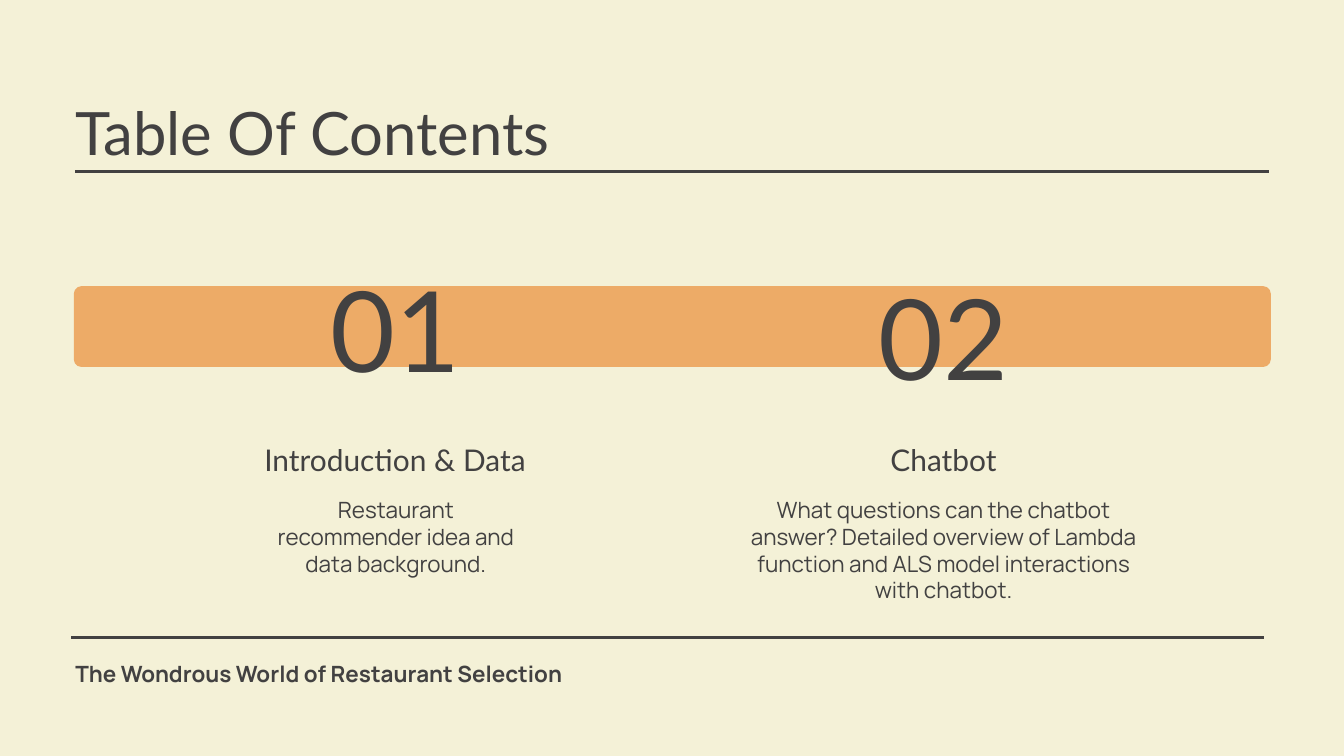
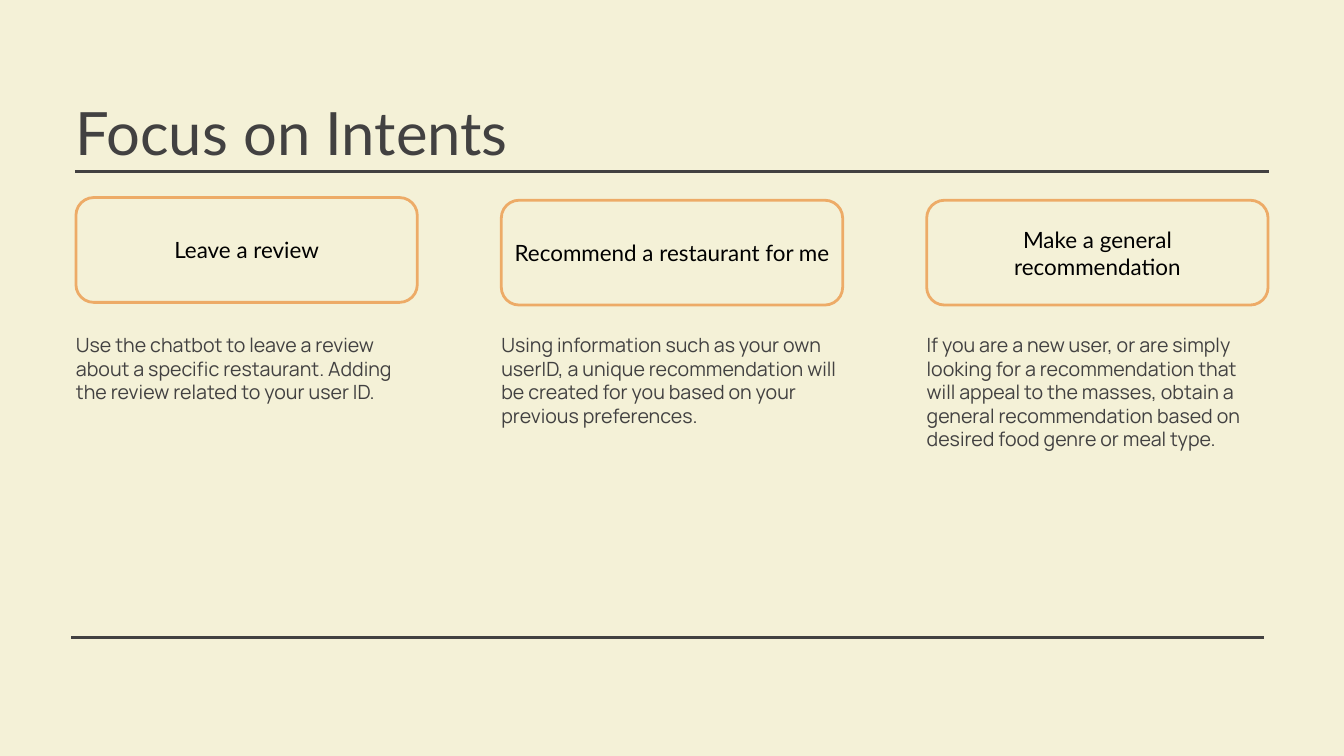
from lxml.etree import SubElement
from pptx import Presentation
from pptx.dml.color import RGBColor
from pptx.enum.shapes import MSO_CONNECTOR, MSO_SHAPE
from pptx.enum.text import MSO_ANCHOR, MSO_AUTO_SIZE, PP_ALIGN
from pptx.oxml.ns import qn
from pptx.util import Inches, Pt

COLORS = {"paper": "F4F1D7", "ink": "424141", "accent": "EDAB67", "black": "000000"}
HEADING, BODY = "Lato", "Manrope"
MARGIN = 1.12
RULE_WIDTH = Pt(3)


def color(name):
    return RGBColor.from_string(COLORS[name])


class Deck:
    """Holds the shared style and the slide being built."""

    def __init__(self):
        self.presentation = Presentation()
        self.presentation.slide_width = Inches(20)
        self.presentation.slide_height = Inches(11.25)
        fill = self.presentation.slide_master.background.fill
        fill.solid()
        fill.fore_color.rgb = color("paper")
        self.slide = None

    def add_slide(self, title):
        layout = self.presentation.slide_layouts.get_by_name("Title Only")
        self.slide = self.presentation.slides.add_slide(layout)
        self.rule(MARGIN, 2.55, 18.88)
        self.rule(1.06, 9.49, 18.81)
        shape = self.slide.shapes.title
        self.place(shape, MARGIN, 1, 14.36, 1.08)
        self.set_text(shape, title, size=64, font=HEADING, spacing=1.4)

    def place(self, shape, left, top, width, height):
        box = {"left": left, "top": top, "width": width, "height": height}
        for name, value in box.items():
            setattr(shape, name, Inches(value))

    def rule(self, left, top, right):
        line = self.slide.shapes.add_connector(
            MSO_CONNECTOR.STRAIGHT, Inches(left), Inches(top), Inches(right), Inches(top))
        line.line.width = RULE_WIDTH
        line.line.color.rgb = color("ink")
        SubElement(line._element.spPr, qn("a:effectLst"))

    def set_text(self, shape, text, size, font, align=PP_ALIGN.LEFT, spacing=1.0,
                 ink="ink", bold=False, inset=0, anchor=MSO_ANCHOR.TOP,
                 fit=MSO_AUTO_SIZE.SHAPE_TO_FIT_TEXT):
        frame = shape.text_frame
        frame.text = text
        frame_format = {"word_wrap": True, "auto_size": fit, "vertical_anchor": anchor}
        for side in ("left", "top", "right", "bottom"):
            frame_format[f"margin_{side}"] = Inches(inset)
        paragraph = frame.paragraphs[0]
        formats = (
            (frame, frame_format),
            (paragraph, {"alignment": align, "line_spacing": spacing}),
            (paragraph.font, {"name": font, "size": Pt(size), "bold": bold}),
        )
        for target, values in formats:
            for name, value in values.items():
                setattr(target, name, value)
        paragraph.font.color.rgb = color(ink)

    def text(self, text, left, top, width, height, **style):
        shape = self.slide.shapes.add_textbox(
            Inches(left), Inches(top), Inches(width), Inches(height))
        self.set_text(shape, text, **style)

    def rounded(self, left, top, width, height, radius, filled):
        shape = self.slide.shapes.add_shape(
            MSO_SHAPE.ROUNDED_RECTANGLE,
            Inches(left), Inches(top), Inches(width), Inches(height))
        shape.adjustments[0] = radius
        shape.shadow.inherit = False
        shape.line.width = RULE_WIDTH
        shape.line.color.rgb = color("accent")
        if filled:
            shape.fill.solid()
            shape.fill.fore_color.rgb = color("accent")
        else:
            shape.fill.background()
        return shape

    def card(self, text, left, top, width, height):
        shape = self.rounded(left, top, width, height, radius=0.17, filled=False)
        self.set_text(shape, text, size=24, font=HEADING, align=PP_ALIGN.CENTER,
                      ink="black", inset=0.1, anchor=MSO_ANCHOR.MIDDLE,
                      fit=MSO_AUTO_SIZE.NONE)


def build_contents(deck):
    deck.add_slide("Table Of Contents")
    deck.rounded(MARGIN, 4.28, 17.77, 1.16, radius=0.08, filled=True)

    # Each section: number, name and summary, with (left, width) of each box
    sections = [
        ("01", (4.79, 2.19), 3.08, "Introduction & Data", (3.38, 5),
         "Restaurant recommender idea and data background.", (4.08, 3.62), 1.21),
        ("02", (12.59, 2.9), 3.19, "Chatbot", (12.23, 3.62),
         "What questions can the chatbot answer? Detailed overview of Lambda "
         "function and ALS model interactions with chatbot.", (11.13, 5.82), 1.62),
    ]
    center = PP_ALIGN.CENTER
    for number, number_span, number_top, name, name_span, summary, span, height in sections:
        left, width = number_span
        deck.text(number, left, number_top, width, 2.02,
                  size=120, font=HEADING, align=center, spacing=1.4)
        left, width = name_span
        deck.text(name, left, 6.47, width, 0.54,
                  size=32, font=HEADING, align=center, spacing=1.2)
        left, width = span
        deck.text(summary, left, 7.38, width, height, size=24, font=BODY, align=center)

    # Footer
    deck.text("The Wondrous World of Restaurant Selection", MARGIN, 9.67, 7.29, 0.4,
              size=24, font=BODY, spacing=1.4, bold=True)


def build_intents(deck):
    deck.add_slide("Focus on Intents")
    intents = [
        ("Leave a review", 2.94, 1.06,
         "Use the chatbot to leave a review about a specific restaurant. "
         "Adding the review related to your user ID."),
        ("Recommend a restaurant for me", 2.98, 1.41,
         "Using information such as your own userID, a unique recommendation "
         "will be created for you based on your previous preferences."),
        ("Make a general recommendation", 2.98, 1.77,
         "If you are a new user, or are simply looking for a recommendation that "
         "will appeal to the masses, obtain a general recommendation based on "
         "desired food genre or meal type."),
    ]
    # Three equal columns
    first, pitch, width = 1.13, 6.33, 5.08
    for column, (name, top, height, detail) in enumerate(intents):
        left = first + column * pitch
        deck.card(name, left, top, width, 1.56)
        deck.text(detail, left, 4.96, width, height, size=21, font=BODY)


def main():
    deck = Deck()
    build_contents(deck)
    build_intents(deck)
    deck.presentation.save("out.pptx")


if __name__ == "__main__":
    main()
